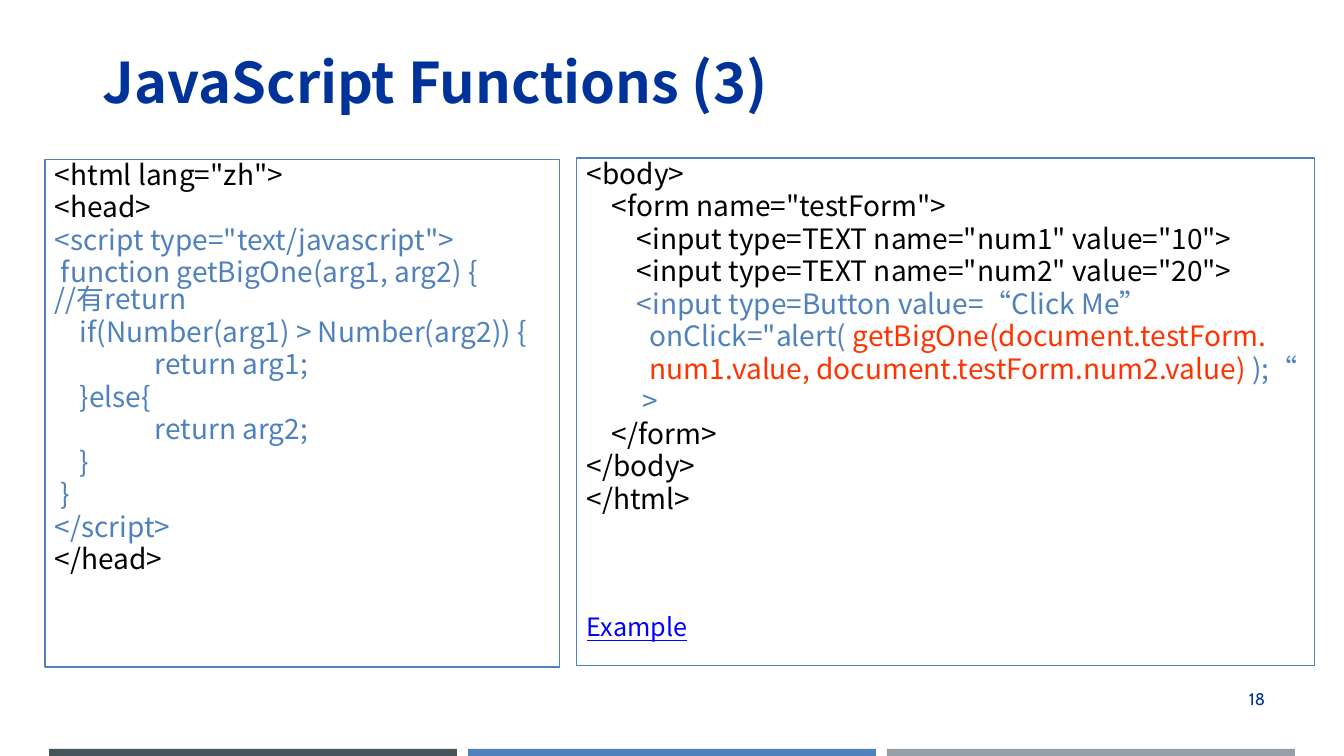
from pptx import Presentation
from pptx.dml.color import RGBColor
from pptx.enum.shapes import MSO_SHAPE
from pptx.enum.text import MSO_ANCHOR, PP_ALIGN
from pptx.oxml.ns import qn
from pptx.util import Pt

RECTANGLE = MSO_SHAPE.RECTANGLE
TOP, MIDDLE = MSO_ANCHOR.TOP, MSO_ANCHOR.MIDDLE
LEFT, RIGHT = PP_ALIGN.LEFT, PP_ALIGN.RIGHT

BLACK = RGBColor(0x00, 0x00, 0x00)
NAVY = RGBColor(0x00, 0x33, 0x99)
BLUE = RGBColor(0x4F, 0x81, 0xBD)
RED = RGBColor(0xFF, 0x33, 0x00)
LINK = RGBColor(0x00, 0x00, 0xFF)
SLATE = RGBColor(0x46, 0x53, 0x59)
GREY = RGBColor(0x96, 0x9F, 0xA7)

CODE_FONT = "Noto Sans CJK SC"
PX = 914400 / 100.8


def px(*lengths):
    return [round(length * PX) for length in lengths]


def write(para, text, size=20, color=BLACK, font=CODE_FONT, bold=False, underline=False):
    span = para.add_run()
    span.text = text
    span.font.size = Pt(size)
    span.font.name = font
    span.font.bold = bold
    span.font.underline = underline
    span.font.color.rgb = color
    east_asian = span.font._element.makeelement(qn("a:ea"), {"typeface": font})
    span.font._element.find(qn("a:latin")).addnext(east_asian)


deck = Presentation()
deck.slide_width, deck.slide_height = px(1344, 756)
page = deck.slides.add_slide(deck.slide_layouts[6])

# Footer bars
for column, color in enumerate([SLATE, BLUE, GREY]):
    bar = page.shapes.add_shape(RECTANGLE, *px(49 + 419 * column, 749, 408, 7))
    bar.shadow.inherit = False
    bar.fill.solid()
    bar.fill.fore_color.rgb = color
    bar.line.fill.background()

# Title and page number
for place, anchor, align, text, style in [
    ((93, 23, 1199, 117), MIDDLE, LEFT, "JavaScript Functions (3)",
     dict(size=40, color=NAVY, bold=True)),
    ((995, 684, 280, 50), TOP, RIGHT, "18",
     dict(size=12, color=NAVY, font="Cabin")),
]:
    box = page.shapes.add_textbox(*px(*place))
    box.text_frame.word_wrap = True
    box.text_frame.vertical_anchor = anchor
    para = box.text_frame.paragraphs[0]
    para.alignment = align
    write(para, text, **style)

# Code lines: first-line indent in px, then coloured pieces
head_code = [
    (0, [('<html lang="zh">', BLACK)]),
    (0, [("<head>", BLACK)]),
    (0, [('<script type="text/javascript">', BLUE)]),
    (6, [("function getBigOne(arg1, arg2) {\t//有return", BLUE)]),
    (25, [("if(Number(arg1) > Number(arg2)) {", BLUE)]),
    (100, [("return arg1;", BLUE)]),
    (25, [("}else{", BLUE)]),
    (100, [("return arg2;", BLUE)]),
    (25, [("}", BLUE)]),
    (6, [("}", BLUE)]),
    (0, [("</script>", BLUE)]),
    (0, [("</head>", BLACK)]),
]
body_code = [
    (0, [("<body>", BLACK)]),
    (25, [('<form name="testForm">', BLACK)]),
    (50, [('<input type=TEXT name="num1" value="10">', BLACK)]),
    (50, [('<input type=TEXT name="num2" value="20">', BLACK)]),
    (50, [("<input type=Button value=“Click Me”", BLUE)]),
    (63, [('onClick="alert( ', BLUE), ("getBigOne(document.testForm.", RED)]),
    (63, [("num1.value, document.testForm.num2.value)", RED), (" );“", BLUE)]),
    (56, [(">", BLUE)]),
    (25, [("</form>", BLACK)]),
    (0, [("</body>", BLACK)]),
    (0, [("</html>", BLACK)]),
]

# Code panels
for place, code in [((45, 159, 515, 508), head_code), ((577, 158, 738, 508), body_code)]:
    panel = page.shapes.add_textbox(*px(*place))
    panel.line.color.rgb = BLUE
    panel.line.width = Pt(0.75)
    frame = panel.text_frame
    frame.word_wrap = True
    for number, (indent, pieces) in enumerate(code):
        para = frame.add_paragraph() if number else frame.paragraphs[0]
        para.line_spacing = 0.8
        para.space_before = Pt(4)
        properties = para._p.get_or_add_pPr()
        properties.set("marL", "0")
        properties.set("indent", str(px(indent)[0]))
        for text, color in pieces:
            write(para, text, color=color)

# Example label, three lines below the code of the right panel
para = frame.add_paragraph()
para.line_spacing = 0.8
para.space_before = Pt(73)
write(para, "Example", size=18, color=LINK, underline=True)

deck.save("out.pptx")
